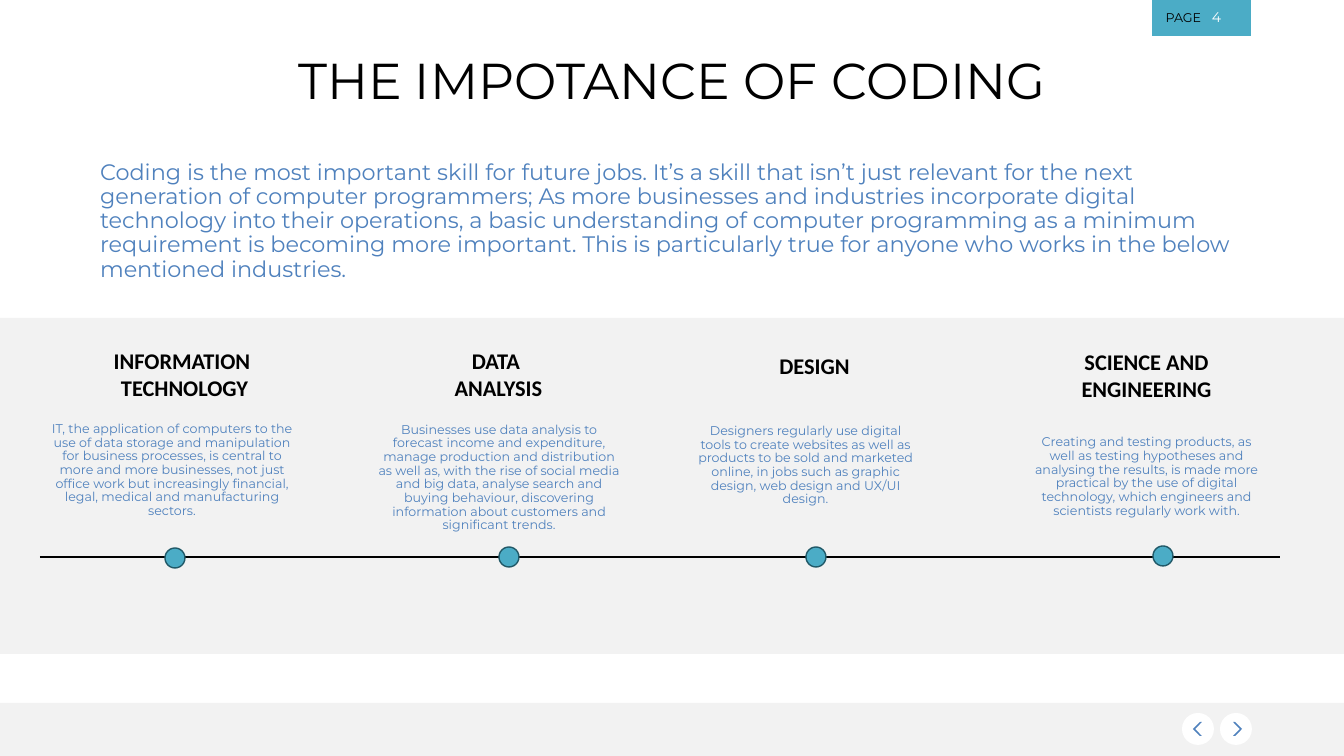
import pptx
import pptx.util
import pptx.dml.color
import pptx.enum.shapes
import pptx.enum.text
import pptx.oxml

SCALE = 914400 / 100.8
SHAPE = pptx.enum.shapes.MSO_SHAPE
ALIGN = pptx.enum.text.PP_ALIGN
ANCHOR = pptx.enum.text.MSO_ANCHOR
BLACK, WHITE, GREY = "000000", "FFFFFF", "F2F2F2"
TEAL, DARK_TEAL, BLUE = "4BACC6", "215968", "4F81BD"
BODY_FONT, HEADING_FONT = "Montserrat", "Calibri"

STAGES = [
    ("INFORMATION \nTECHNOLOGY", (63, 342, 243, 64), (40, 413, 264, 115), (165, 548),
     "IT, the application of computers to the use of data storage and manipulation "
     "for business processes, is central to more and more businesses, not just office "
     "work but increasingly financial, legal, medical and manufacturing sectors."),
    ("DATA \nANALYSIS", (377, 342, 243, 64), (368, 422, 262, 112), (499, 547),
     "Businesses use data analysis to forecast income and expenditure, manage "
     "production and distribution as well as, with the rise of social media and big "
     "data, analyse search and buying behaviour, discovering information about "
     "customers and significant trends."),
    ("DESIGN", (693, 347, 243, 37), (684, 414, 243, 103), (806, 547),
     "Designers regularly use digital tools to create websites as well as products to "
     "be sold and marketed online, in jobs such as graphic design, web design and "
     "UX/UI design."),
    ("SCIENCE AND ENGINEERING", (1025, 343, 243, 64), (1018, 430, 257, 94), (1153, 546),
     "Creating and testing products, as well as testing hypotheses and analysing the "
     "results, is made more practical by the use of digital technology, which "
     "engineers and scientists regularly work with."),
]
INTRO = (
    "Coding is the most important skill for future jobs. It’s a skill that isn’t just "
    "relevant for the next generation of computer programmers; As more businesses and "
    "industries incorporate digital technology into their operations, a basic "
    "understanding of computer programming as a minimum requirement is becoming more "
    "important. This is particularly true for anyone who works in the below mentioned "
    "industries.")


def px(value):
    return pptx.util.Emu(round(value * SCALE))


def rgb(code):
    return pptx.dml.color.RGBColor.from_string(code)


def add_figure(page, kind, box, fill, outline=None):
    figure = page.shapes.add_shape(kind, *map(px, box))
    figure.shadow.inherit = False
    figure.fill.solid()
    figure.fill.fore_color.rgb = rgb(fill)
    if outline:
        figure.line.color.rgb = rgb(outline)
        figure.line.width = pptx.util.Pt(1)
    else:
        figure.line.fill.background()
    return figure


def write(holder, text, size, color, align=ALIGN.CENTER, anchor=ANCHOR.MIDDLE,
          font=BODY_FONT, bold=False, spacing=None, before=0):
    frame = holder.text_frame
    frame.text = text
    frame.word_wrap = True
    frame.auto_size = pptx.enum.text.MSO_AUTO_SIZE.NONE
    frame.vertical_anchor = anchor
    for para in frame.paragraphs:
        para.alignment = align
        para.line_spacing = spacing
        para.space_before = pptx.util.Pt(before)
        for span in para.runs:
            span.font.size = pptx.util.Pt(size)
            span.font.name = font
            span.font.bold = bold
            span.font.color.rgb = rgb(color)


def add_text(page, box, text, size, color, **style):
    write(page.shapes.add_textbox(*map(px, box)), text, size, color, **style)


def fill_placeholder(holder, box, text, size, color, **style):
    holder.left, holder.top, holder.width, holder.height = map(px, box)
    write(holder, text, size, color, spacing=0.9, **style)


def add_page_tag(page, box):
    left, top, width, height = box
    add_figure(page, SHAPE.RECTANGLE, box, TEAL)
    add_text(page, (left, top + 7, 59, 21), "PAGE", 9, BLACK, align=ALIGN.RIGHT)
    add_text(page, (left + 50, top + 6, 55, 21), "4", 10, WHITE, align=ALIGN.LEFT)


def add_footer(page, box):
    left, top, width, height = box
    add_figure(page, SHAPE.RECTANGLE, box, GREY)
    for button, arrow, rotation in ((1182, 1193, 180), (1220, 1233, 0)):
        add_figure(page, SHAPE.OVAL, (left + button, top + 10, 32, 32), WHITE)
        chevron = add_figure(page, SHAPE.CHEVRON, (left + arrow, top + 19, 9, 14), BLUE)
        chevron.adjustments[0] = 0.77
        chevron.rotation = rotation


def add_timeline(page, box):
    left, top, width, height = box
    add_figure(page, SHAPE.RECTANGLE, box, GREY)
    axis = page.shapes.add_connector(
        pptx.enum.shapes.MSO_CONNECTOR.STRAIGHT,
        px(left + 40), px(top + 239), px(left + 1280), px(top + 239))
    axis.line.color.rgb = rgb(BLACK)
    axis.line.width = pptx.util.Pt(1)
    axis.element.spPr.append(pptx.oxml.parse_xml(
        '<a:effectLst xmlns:a="http://schemas.openxmlformats.org/drawingml/2006/main"/>'))
    for heading, heading_box, body_box, dot, body in STAGES:
        add_text(page, heading_box, heading, 16, BLACK, anchor=ANCHOR.TOP,
                 font=HEADING_FONT, bold=True)
        add_text(page, body_box, body, 9, BLUE, spacing=0.9, before=10)
        add_figure(page, SHAPE.OVAL, (*dot, 20, 20), TEAL, DARK_TEAL)


deck = pptx.Presentation()
deck.slide_width, deck.slide_height = px(1344), px(756)
page = deck.slides.add_slide(deck.slide_layouts[0])
title, intro = page.placeholders
fill_placeholder(title, (90, 48, 1164, 70), "THE IMPOTANCE OF CODING", 36, BLACK)
fill_placeholder(intro, (90, 156, 1164, 135), INTRO, 16, BLUE,
                 align=ALIGN.LEFT, anchor=ANCHOR.TOP, before=10)
add_page_tag(page, (1152, 0, 99, 36))
add_timeline(page, (0, 318, 1344, 336))
add_footer(page, (0, 703, 1344, 53))
deck.save("out.pptx")
